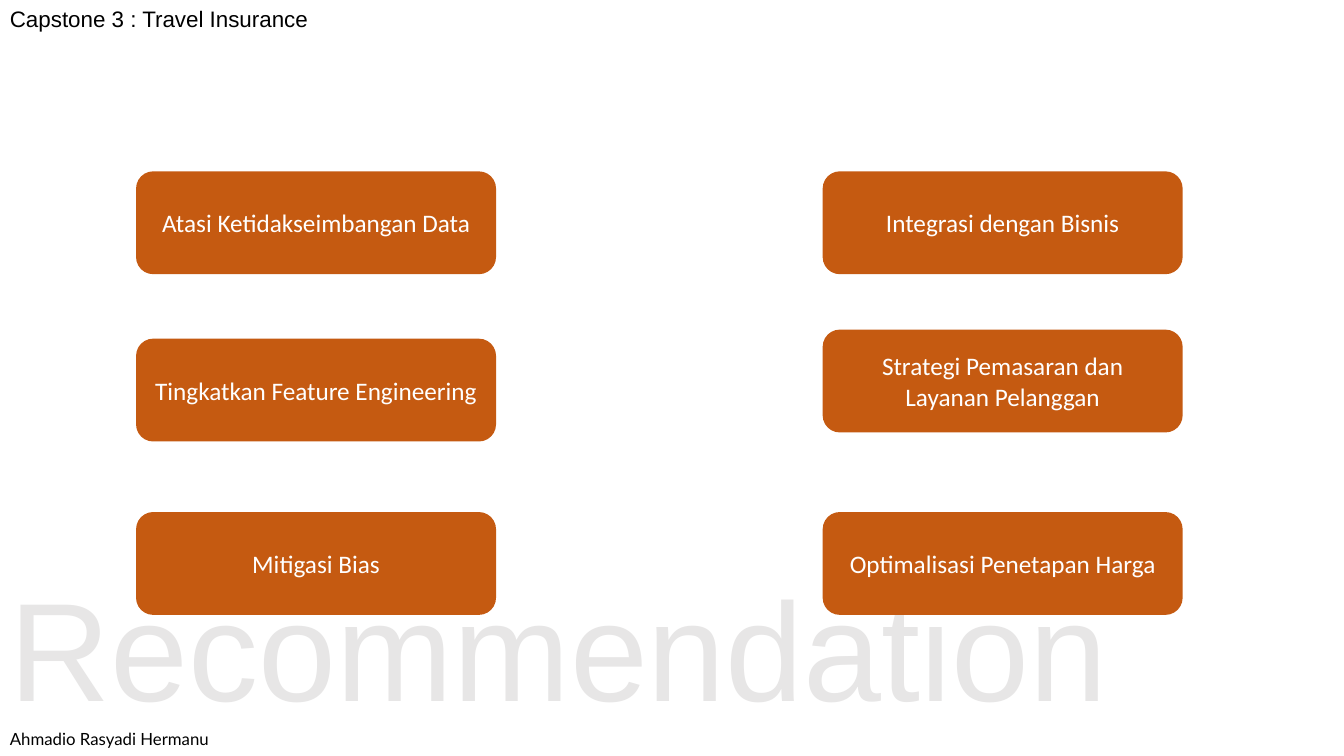
from pptx import Presentation
from pptx.dml.color import RGBColor
from pptx.enum.shapes import MSO_SHAPE as SHAPE
from pptx.enum.text import MSO_ANCHOR as ANCHOR, PP_ALIGN as ALIGN
from pptx.util import Inches, Pt

BLACK, WHITE, GRAY, ORANGE = "000000", "FFFFFF", "E7E6E6", "C55A11"


def rgb(value):
    return RGBColor.from_string(value)


def write(sp, text, size, font, color=BLACK, align=ALIGN.LEFT, anchor=ANCHOR.TOP):
    tf = sp.text_frame
    tf.word_wrap = True
    tf.vertical_anchor = anchor
    p = tf.paragraphs[0]
    p.alignment = align
    r = p.add_run()
    r.text = text
    r.font.size = Pt(size)
    r.font.name = font
    r.font.color.rgb = rgb(color)


prs = Presentation()
prs.slide_width, prs.slide_height = Inches(13.33), Inches(7.5)
s = prs.slides.add_slide(prs.slide_layouts[6])

# Header, author and large background title
labels = [
    ("Capstone 3 : Travel Insurance", 0, 6.26, 0.37, 16, "Arial", BLACK),
    ("Ahmadio Rasyadi Hermanu", 7.18, 3.49, 0.3, 12, "Lato", BLACK),
    ("Recommendation", 5.52, 13.33, 1.78, 100, "Arial", GRAY),
]
for text, top, width, height, size, font, color in labels:
    sp = s.shapes.add_textbox(0, Inches(top), Inches(width), Inches(height))
    write(sp, text, size, font, color=color)

# Two columns of recommendation cards: left edge, then (top, text)
columns = [
    (1.35, [(1.7, "Atasi Ketidakseimbangan Data"),
            (3.36, "Tingkatkan Feature Engineering"),
            (5.08, "Mitigasi Bias")]),
    (8.16, [(1.7, "Integrasi dengan Bisnis"),
            (3.27, "Strategi Pemasaran dan Layanan Pelanggan"),
            (5.08, "Optimalisasi Penetapan Harga")]),
]
for left, cards in columns:
    for top, text in cards:
        sp = s.shapes.add_shape(SHAPE.ROUNDED_RECTANGLE, Inches(left), Inches(top),
                                Inches(3.57), Inches(1.02))
        sp.shadow.inherit = False
        sp.fill.solid()
        sp.fill.fore_color.rgb = rgb(ORANGE)
        sp.line.fill.background()
        write(sp, text, 18, "Calibri", color=WHITE, align=ALIGN.CENTER, anchor=ANCHOR.MIDDLE)

prs.save("out.pptx")
